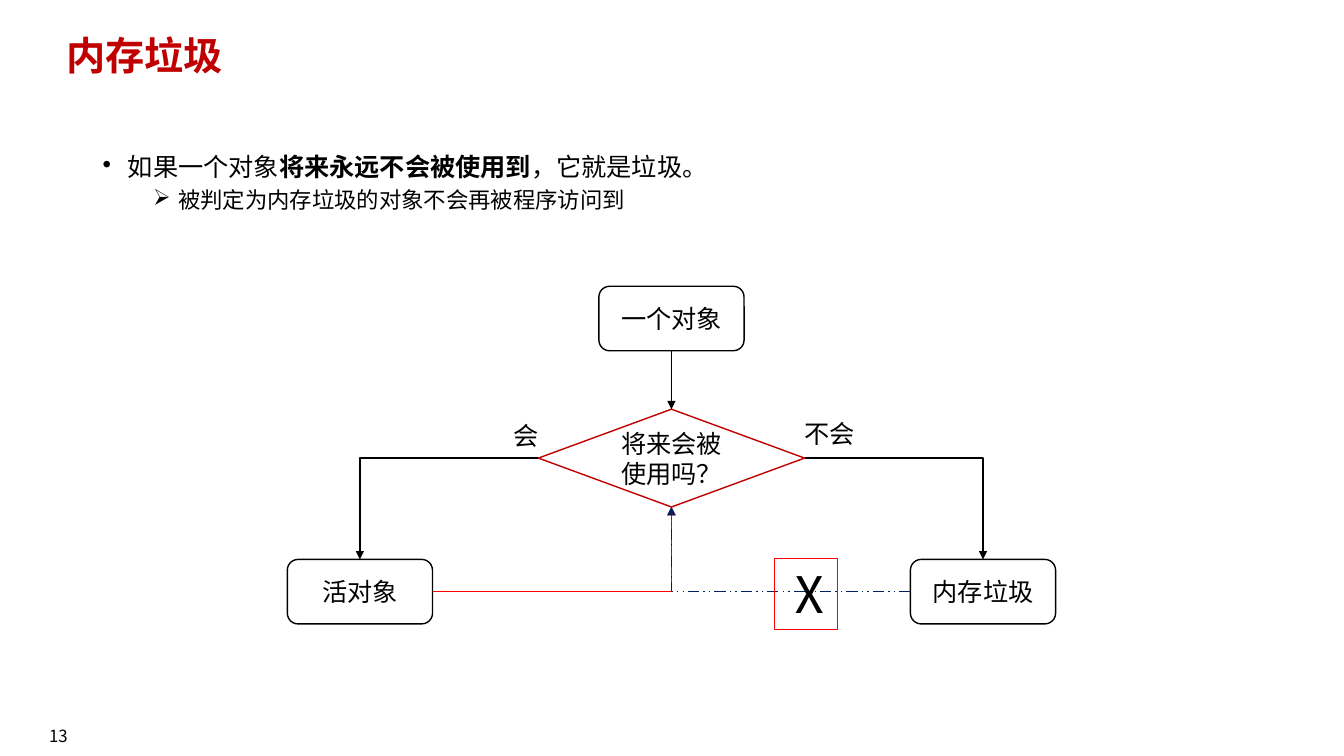
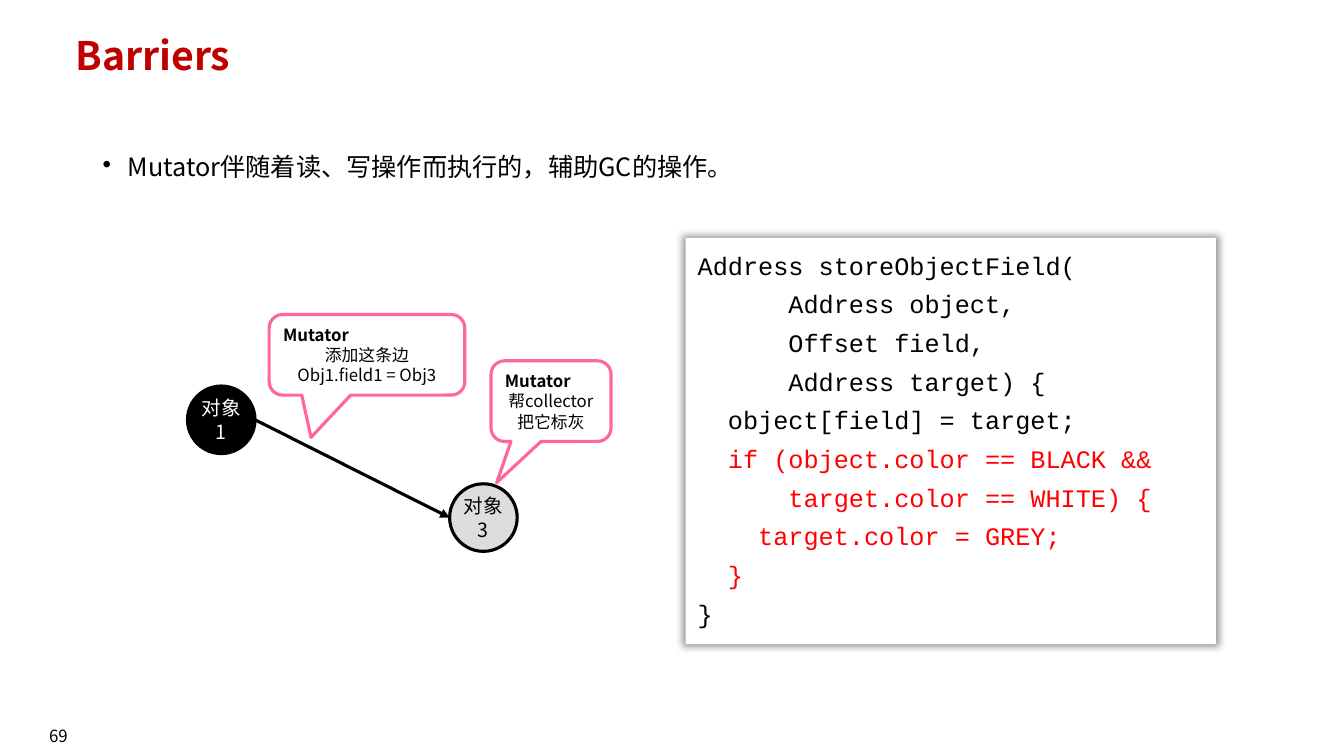
from lxml.etree import SubElement
from pptx import Presentation
from pptx.dml.color import RGBColor
from pptx.enum.dml import MSO_LINE
from pptx.enum.shapes import MSO_CONNECTOR, MSO_SHAPE
from pptx.enum.text import MSO_ANCHOR as ANCHOR, PP_ALIGN as ALIGN
from pptx.oxml.ns import qn
from pptx.util import Pt

PX = 9144  # 100 px to the inch
SLIDE_W, SLIDE_H = 1333, 750
FONT, CODE_FONT = "Noto Sans CJK SC", "Courier New"
COLORS = {
    "text": "000000",
    "title": "C00000",
    "white": "FFFFFF",
    "red": "FF0000",
    "navy": "002060",
    "grey": "DDDDDD",
    "pink": "FF6699",
}
TOP, LEFT, BOTTOM, RIGHT = range(4)


def emu(*lengths):
    return [round(v * PX) for v in lengths]


def rgb(name):
    return RGBColor.from_string(COLORS[name])


def format_run(r, size, color="text", bold=False, font=FONT):
    r.font.size = Pt(size)
    r.font.bold = bold
    r.font.color.rgb = rgb(color)
    r.font.name = font
    SubElement(r._r.get_or_add_rPr(), qn("a:ea")).set("typeface", font)


def set_frame(tf, anchor, insets):
    tf.word_wrap = True
    tf.vertical_anchor = anchor
    tf.margin_left, tf.margin_top, tf.margin_right, tf.margin_bottom = emu(*insets)


def write(tf, text, size, color="text", bold=False, align=ALIGN.LEFT, font=FONT):
    """Fill a frame with one paragraph per line of text."""
    tf.text = text
    for p in tf.paragraphs:
        p.alignment = align
        for r in p.runs:
            format_run(r, size, color, bold, font)


def add_text(s, box, text, size, anchor=ANCHOR.TOP, insets=(10, 5, 10, 5), **style):
    tf = s.shapes.add_textbox(*emu(*box)).text_frame
    set_frame(tf, anchor, insets)
    write(tf, text, size, **style)
    return tf


def add_node(s, kind, box, text, size, fill="white", line="text", width=1,
             insets=(10, 5, 10, 5), color="text"):
    sp = s.shapes.add_shape(kind, *emu(*box))
    sp.shadow.inherit = False
    if fill:
        sp.fill.solid()
        sp.fill.fore_color.rgb = rgb(fill)
    else:
        sp.fill.background()
    if line:
        sp.line.color.rgb = rgb(line)
        sp.line.width = Pt(width)
    else:
        sp.line.fill.background()
    set_frame(sp.text_frame, ANCHOR.MIDDLE, insets)
    write(sp.text_frame, text, size, color, align=ALIGN.CENTER)
    return sp


def side_point(sp, side):
    x, y = sp.left + sp.width // 2, sp.top + sp.height // 2
    return {
        TOP: (x, sp.top),
        LEFT: (sp.left, y),
        BOTTOM: (x, sp.top + sp.height),
        RIGHT: (sp.left + sp.width, y),
    }[side]


def add_arrow(s, start, start_side, end, end_side, color="text", width=1,
              bent=False, dash=None, glue=True):
    """Arrow between shape sides; a bent one runs across, then up or down."""
    c = s.shapes.add_connector(MSO_CONNECTOR.ELBOW if bent else MSO_CONNECTOR.STRAIGHT,
                               *side_point(start, start_side), *side_point(end, end_side))
    if glue:
        c.begin_connect(start, start_side)
        c.end_connect(end, end_side)
    c.line.color.rgb = rgb(color)
    c.line.width = Pt(width)
    if dash:
        c.line.dash_style = dash
    sp_pr = c.element.spPr
    if bent:
        sp_pr.find(qn("a:prstGeom")).set("prst", "bentConnector2")
    SubElement(sp_pr.get_or_add_ln(), qn("a:tailEnd")).set("type", "triangle")
    SubElement(sp_pr, qn("a:effectLst"))


def add_bullets(s, box, items):
    """Items are (level, text); text between ** marks is bold."""
    tf = s.shapes.add_textbox(*emu(*box)).text_frame
    set_frame(tf, ANCHOR.TOP, (10, 5, 10, 5))
    for i, (level, text) in enumerate(items):
        p = tf.add_paragraph() if i else tf.paragraphs[0]
        p.level = level
        p.line_spacing = 0.9
        if i:
            p.space_before = Pt(5 if level else 10)
        p_pr = p._p.get_or_add_pPr()
        margin, hang = emu(25 + 50 * level, -25)
        p_pr.set("marL", str(margin))
        p_pr.set("indent", str(hang))
        SubElement(p_pr, qn("a:buChar")).set("char", "•➢"[level])
        for j, part in enumerate(text.split("**")):
            r = p.add_run()
            r.text = part
            format_run(r, 18 - 2 * level, bold=j % 2 == 1)


def content_slide(prs, title, number, items, title_indent=0):
    s = prs.slides.add_slide(prs.slide_layouts[6])
    add_text(s, (0, 710, 116, 40), number, 12, anchor=ANCHOR.MIDDLE, align=ALIGN.CENTER)
    tf = add_text(s, (56, 31, 1150, 65), title, 28, color="title", bold=True,
                  insets=(10 + title_indent, 5, 10, 5))
    tf.paragraphs[0].line_spacing = 0.9
    add_bullets(s, (92, 149, 1150, 476), items)
    return s


def garbage_flowchart(s, x, y, w, h):
    node_w, node_h, test_w, test_h = 144, 64, 264, 97
    mid, low = x + w // 2, y + h - node_h

    def box(left, top, text):
        return add_node(s, MSO_SHAPE.ROUNDED_RECTANGLE, (left, top, node_w, node_h), text, 18)

    start = box(mid - node_w // 2, y, "一个对象")
    test = add_node(s, MSO_SHAPE.FLOWCHART_DECISION,
                    (mid - test_w // 2, y + 122, test_w, test_h),
                    "将来会被使用吗？", 18, line="title")
    live = box(x, low, "活对象")
    garbage = box(x + w - node_w, low, "内存垃圾")

    add_arrow(s, test, LEFT, live, TOP, bent=True)
    add_arrow(s, test, RIGHT, garbage, TOP, bent=True)
    add_arrow(s, start, BOTTOM, test, TOP)
    add_arrow(s, live, RIGHT, test, BOTTOM, "red", bent=True)
    add_arrow(s, garbage, LEFT, test, BOTTOM, "navy", bent=True, dash=MSO_LINE.DASH_DOT_DOT)

    label_w = (w - node_w - test_w) // 2
    for left, top, text, align in (
        (mid - test_w // 2 - label_w, 133, "会", ALIGN.RIGHT),
        (mid + test_w // 2, 131, "不会", ALIGN.LEFT),
    ):
        add_text(s, (left, y + top, label_w, 30), text, 18, insets=(0, 0, 0, 0), align=align)

    cross = add_node(s, MSO_SHAPE.RECTANGLE, (x + 483, low - 1, 63, 71), "Ⅹ", 36,
                     fill=None, line="red", width=0.75)
    cross.text_frame.vertical_anchor = ANCHOR.TOP
    cross.text_frame.paragraphs[0].alignment = ALIGN.LEFT


def mutator_callout(s, box, lines, tip):
    sp = add_node(s, MSO_SHAPE.ROUNDED_RECTANGULAR_CALLOUT, box,
                  "\n".join(["Mutator", *lines]), 12, line="pink", width=2.25)
    for i, value in enumerate((*tip, 0.167)):
        sp.adjustments[i] = value
    heading = sp.text_frame.paragraphs[0]
    heading.alignment = ALIGN.LEFT
    heading.runs[0].font.bold = True


def object_graph(s, x, y):
    def circle(left, top, text, fill, color):
        return add_node(s, MSO_SHAPE.OVAL, (x + left, y + top, 67, 67), text, 14,
                        fill=fill, width=2.25, insets=(0, 0, 0, 0), color=color)

    source = circle(0, 71, "对象1", "text", "white")
    target = circle(260, 168, "对象\n3", "grey", "text")
    mutator_callout(s, (x + 81, y, 194, 80), ["添加这条边", "Obj1.field1 = Obj3"],
                    (-0.286, 1.025))
    add_arrow(s, source, RIGHT, target, LEFT, width=2.25, glue=False)
    mutator_callout(s, (x + 301, y + 46, 119, 80), ["帮collector", "把它标灰"],
                    (-0.453, 1.011))


def code_panel(s, box, code, red_lines):
    sp = add_node(s, MSO_SHAPE.RECTANGLE, box, "", 18, line=None)
    effects = sp.element.spPr.find(qn("a:effectLst"))
    shadow = SubElement(effects, qn("a:outerShdw"), blurRad=str(Pt(5)), dist="0",
                        sx="101000", sy="101000", algn="ctr", rotWithShape="0")
    black = SubElement(shadow, qn("a:srgbClr"), val=COLORS["text"])
    SubElement(black, qn("a:alpha"), val="40000")
    tf = sp.text_frame
    set_frame(tf, ANCHOR.TOP, (12, 12, 12, 12))
    write(tf, code, 18, font=CODE_FONT)
    for i, p in enumerate(tf.paragraphs):
        p.space_after = Pt(6)
        if i in red_lines:
            p.runs[0].font.color.rgb = rgb("red")


STORE_CODE = """Address storeObjectField(
      Address object,
      Offset field,
      Address target) {
  object[field] = target;
  if (object.color == BLACK &&
      target.color == WHITE) {
    target.color = GREY;
  }
}"""


def main():
    prs = Presentation()
    prs.slide_width, prs.slide_height = emu(SLIDE_W, SLIDE_H)

    s = content_slide(prs, "内存垃圾", "13", [
        (0, "如果一个对象**将来永远不会被使用到**，它就是垃圾。"),
        (1, "被判定为内存垃圾的对象不会再被程序访问到"),
    ])
    garbage_flowchart(s, 285, 284, 762, 335)

    s = content_slide(prs, "Barriers", "69", [
        (0, "Mutator伴随着读、写操作而执行的，辅助GC的操作。"),
    ], title_indent=9)
    object_graph(s, 186, 312)
    code_panel(s, (680, 236, 526, 403), STORE_CODE, range(5, 9))

    prs.save("out.pptx")


if __name__ == "__main__":
    main()
